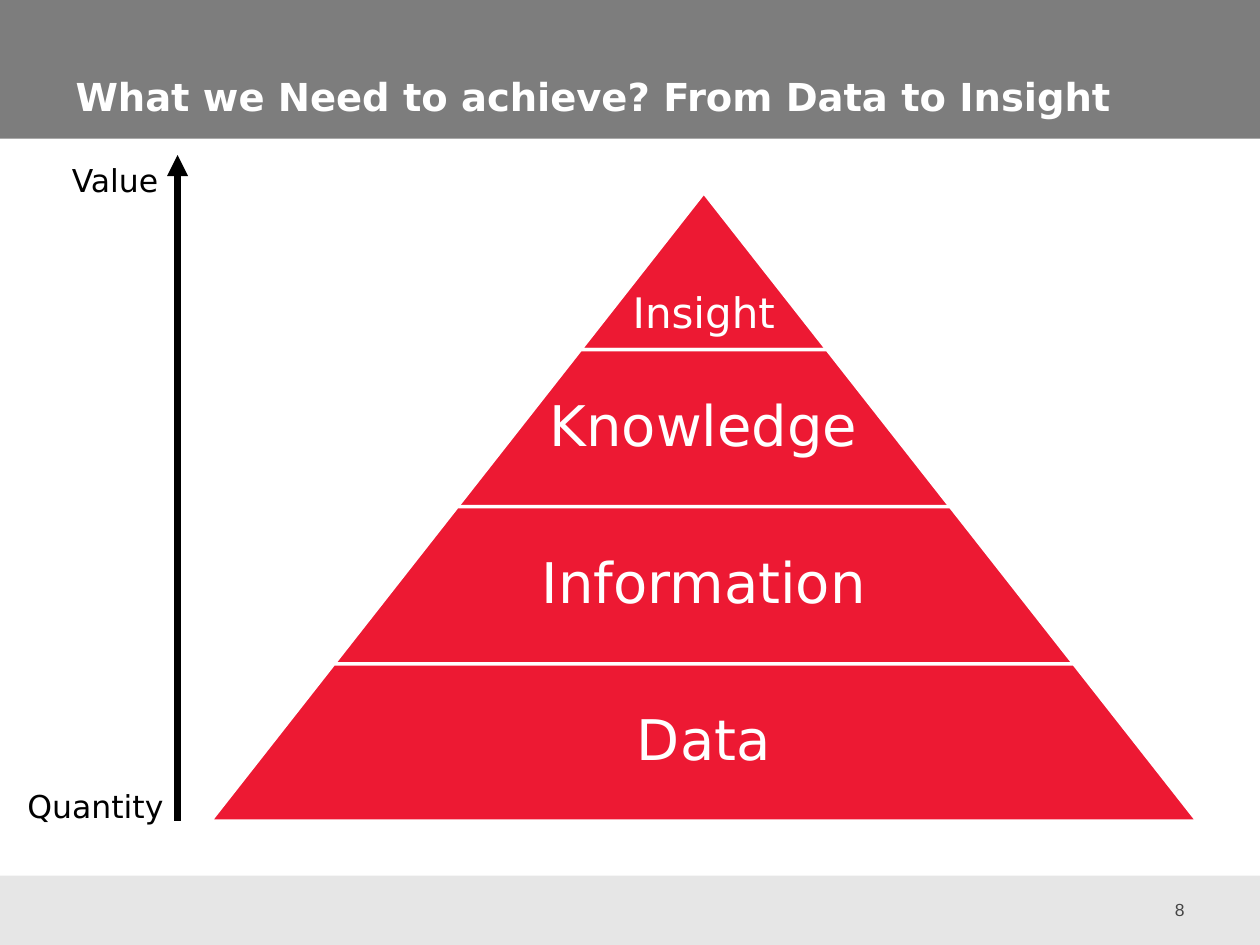
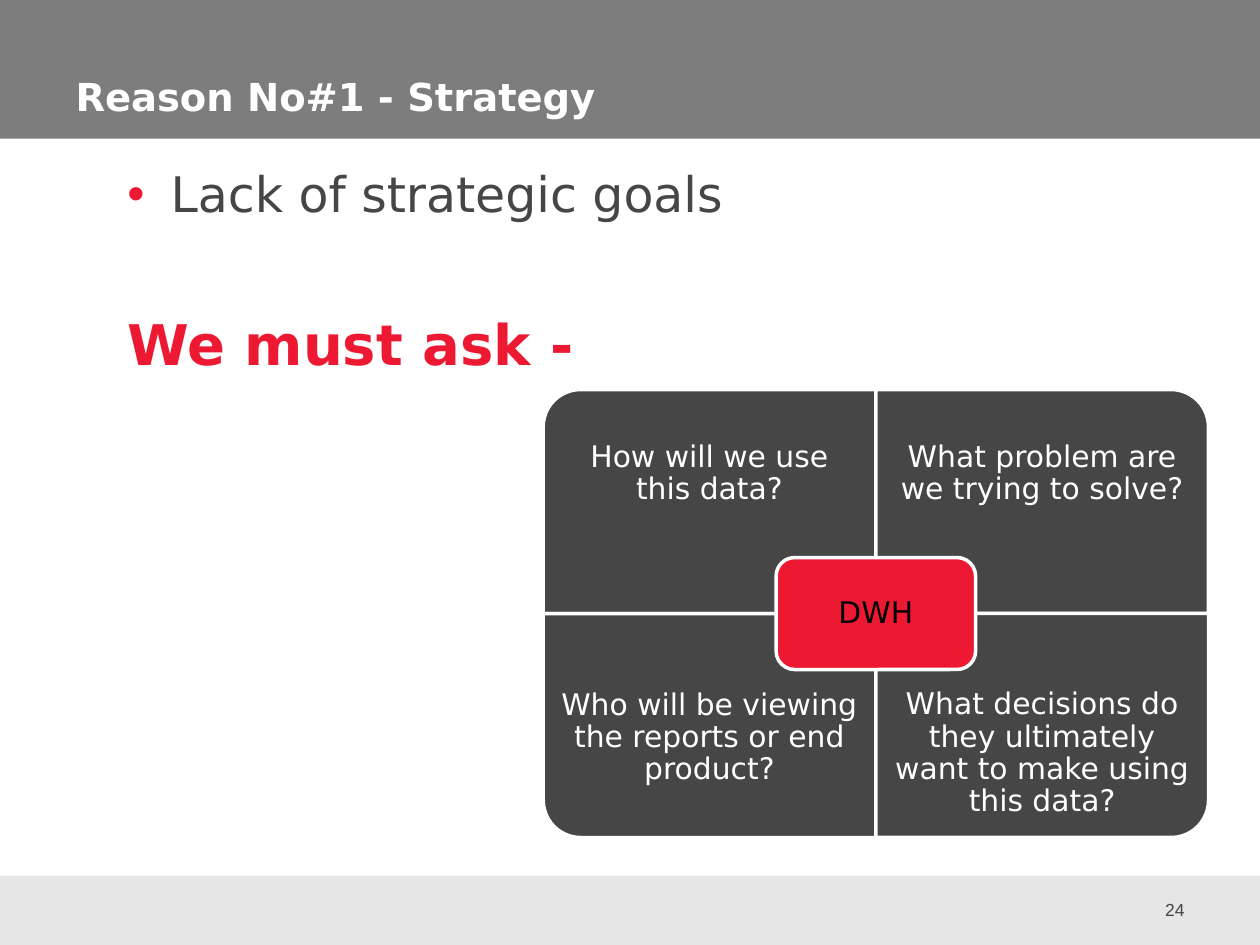
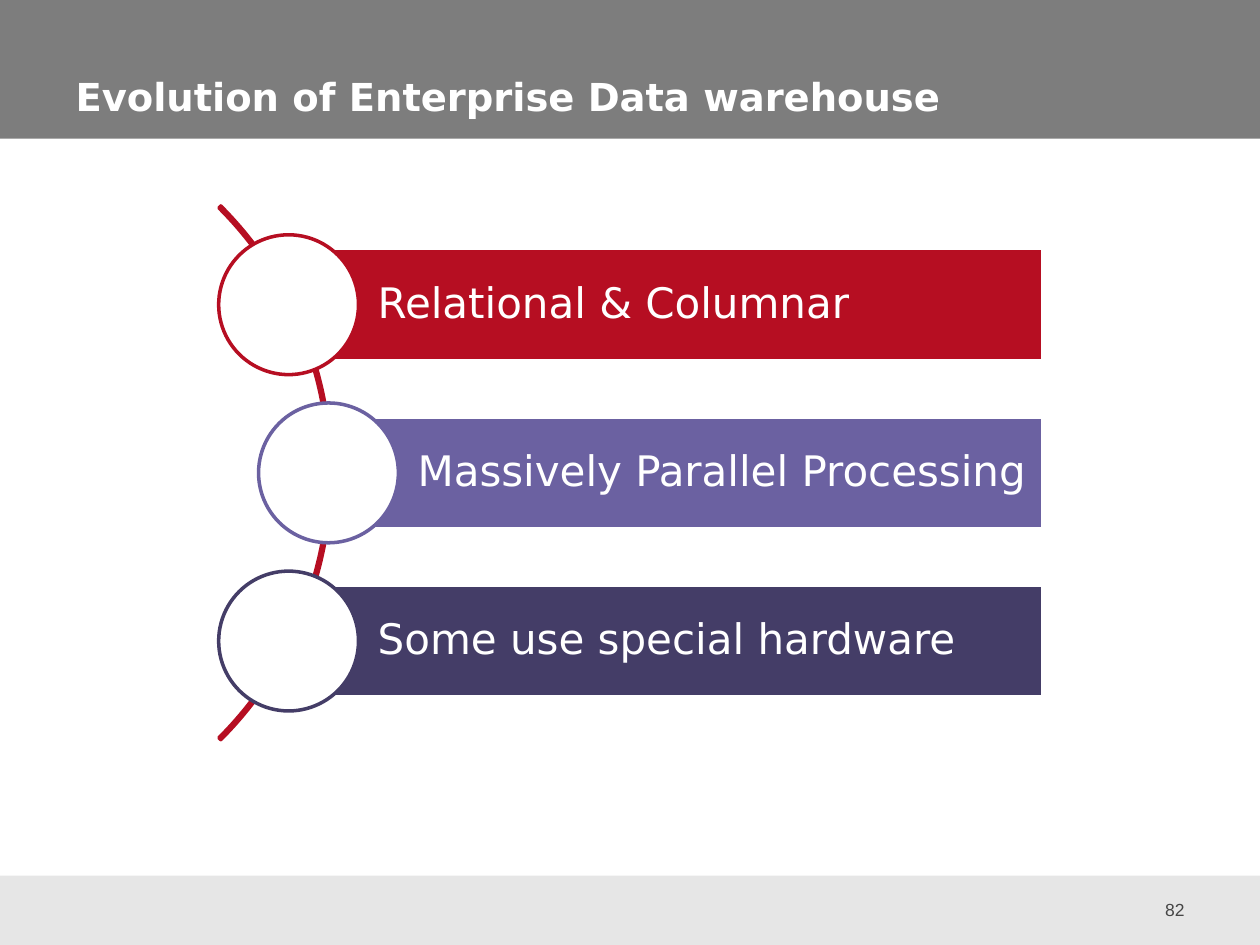
import math

from lxml import etree
from pptx import Presentation
from pptx.dml.color import RGBColor
from pptx.enum import shapes, text
from pptx.oxml import ns
from pptx.util import Pt

# Shared look
WIDTH, HEIGHT = 720, 540
FONT = "DejaVu Sans"
WHITE, BLACK, DARK = "FFFFFF", "000000", "464646"
RED, CRIMSON, VIOLET, INDIGO = "ED1933", "B60E22", "6B61A1", "443D67"
BAND, FOOTER = "7D7D7D", "E6E6E6"
SHAPE = shapes.MSO_SHAPE
LEFT, CENTER, RIGHT = text.PP_ALIGN.LEFT, text.PP_ALIGN.CENTER, text.PP_ALIGN.RIGHT
TOP, MIDDLE, BOTTOM = text.MSO_ANCHOR.TOP, text.MSO_ANCHOR.MIDDLE, text.MSO_ANCHOR.BOTTOM
DEFAULT_INSETS = (7.2, 3.6, 7.2, 3.6)


def color(value):
    return RGBColor.from_string(value)


def points(*lengths):
    return [Pt(length) for length in lengths]


def add_element(parent, tag, **attributes):
    return etree.SubElement(parent, ns.qn(tag), attributes)


def format_para(para, words, size=18, ink=BLACK, bold=False, font=FONT,
                align=LEFT, spacing=1.0, before=0):
    para.text = words
    para.alignment = align
    para.line_spacing = spacing
    para.space_before = Pt(before)
    para.space_after = Pt(0)
    para.font.name = font
    para.font.size = Pt(size)
    para.font.bold = bold
    para.font.color.rgb = color(ink)


def write(shape, words, anchor=TOP, insets=DEFAULT_INSETS, wrap=True, **style):
    frame = shape.text_frame
    frame.auto_size = text.MSO_AUTO_SIZE.NONE
    frame.word_wrap = wrap
    frame.vertical_anchor = anchor
    (frame.margin_left, frame.margin_top,
     frame.margin_right, frame.margin_bottom) = points(*insets)
    format_para(frame.paragraphs[0], words, **style)


def add_text(page, box, words, **style):
    shape = page.shapes.add_textbox(*points(*box))
    write(shape, words, **style)
    return shape


def paint(shape, fill=None, line=None):
    shape.shadow.inherit = False
    if fill:
        shape.fill.solid()
        shape.fill.fore_color.rgb = color(fill)
    else:
        shape.fill.background()
    if line:
        shape.line.color.rgb = color(line)
        shape.line.width = Pt(2)
    else:
        shape.line.fill.background()


def add_block(page, kind, box, fill=None, line=None):
    shape = page.shapes.add_shape(kind, *points(*box))
    paint(shape, fill, line)
    return shape


# Bands, title and page number of every slide
def add_page(deck, title_words, number):
    page = deck.slides.add_slide(deck.slide_layouts[5])
    title = page.shapes.title
    add_block(page, SHAPE.RECTANGLE, (0, 0, WIDTH, 79.2), BAND)
    add_block(page, SHAPE.RECTANGLE, (0, 500.4, WIDTH, 39.6), FOOTER)
    add_text(page, (648, 505.6, 36, 28.8), str(number), anchor=MIDDLE,
             size=10, font="Arial", ink=DARK, align=RIGHT)
    title.element.getparent().append(title.element)
    title.left, title.top, title.width, title.height = points(36, 27.4, 639.4, 44.6)
    write(title, title_words, anchor=BOTTOM, size=22, bold=True, ink=WHITE)
    return page


# Upward arrow with a label at each end
def add_value_axis(page, box):
    left, top, width, height = box
    x = left + width
    axis = page.shapes.add_connector(
        shapes.MSO_CONNECTOR.STRAIGHT, *points(x, top, x, top + height))
    axis.line.color.rgb = color(BLACK)
    axis.line.width = Pt(4)
    add_element(axis.line._get_or_add_ln(), "a:headEnd", type="triangle")
    add_element(axis.element.spPr, "a:effectLst")
    add_text(page, (left, top + height - 23, width, 29), "Quantity", wrap=False)
    add_text(page, (x - 67.5, top, 67, 29), "Value", wrap=False)


# Pyramid cut into tiers of equal height
def add_pyramid(page, box, tiers):
    left, top, width, height = box
    middle = left + width / 2
    step, spread = height / len(tiers), width / 2 / len(tiers)
    for index, (words, size, inset) in enumerate(tiers):
        upper, lower = index * spread, (index + 1) * spread
        y = top + index * step
        outline = page.shapes.build_freeform(*points(middle - lower, y + step))
        outline.add_line_segments(
            [points(middle - upper, y), points(middle + upper, y),
             points(middle + lower, y + step)], close=True)
        tier = outline.convert_to_shape()
        paint(tier, RED, WHITE)
        write(tier, words, anchor=MIDDLE, insets=(3, inset, 3, 3), size=size,
              ink=WHITE, align=CENTER, spacing=0.9)


# Bulleted goal and the call below it
def add_goals(page, box):
    goals = add_text(page, box, "")
    goal = goals.text_frame.paragraphs[0]
    call = goals.text_frame.add_paragraph()
    for para, margin, indent in ((goal, 49.5, -24.75), (call, 24.75, 0)):
        props = para._p.get_or_add_pPr()
        props.set("marL", str(Pt(margin)))
        props.set("indent", str(Pt(indent)))
    bullet = goal._p.get_or_add_pPr()
    add_element(add_element(bullet, "a:buClr"), "a:srgbClr", val=RED)
    add_element(bullet, "a:buFont", typeface="Arial")
    add_element(bullet, "a:buChar", char="•")
    format_para(goal, "Lack of strategic goals", size=28, ink=DARK)
    format_para(call, "We must ask -", size=32, ink=RED, bold=True, before=49.5)


# Four questions around a centre
def add_question_grid(page, box, questions, center_words):
    left, top, width, height = box
    cell_width, cell_height = width / 2, height / 2
    label_height = cell_height * 0.75
    style = dict(anchor=MIDDLE, size=17, align=CENTER, spacing=0.9)
    turns = (270, 0, 180, 90)
    for index, ((words, bottom_inset), turn) in enumerate(zip(questions, turns)):
        row, column = divmod(index, 2)
        x, y = left + column * cell_width, top + row * cell_height
        sides = (cell_width, cell_height)
        if turn in (90, 270):
            sides = sides[::-1]
        corner = (x + (cell_width - sides[0]) / 2, y + (cell_height - sides[1]) / 2)
        cell = add_block(page, SHAPE.ROUND_1_RECTANGLE, corner + sides, DARK, WHITE)
        cell.rotation = turn
        label_top = y + row * (cell_height - label_height)
        add_text(page, (x, label_top, cell_width, label_height), words, ink=WHITE,
                 insets=(9.4, 9.4, 9.4, bottom_inset), **style)

    hub_width, hub_height = cell_width * 0.6, cell_height / 2
    hub = add_block(page, SHAPE.ROUNDED_RECTANGLE,
                    (left + cell_width - hub_width / 2,
                     top + cell_height - hub_height / 2, hub_width, hub_height),
                    RED, WHITE)
    write(hub, center_words, ink=BLACK, **style)


# Bars whose circles sit on an arc
def add_arc_list(page, box, items):
    left, top, width, height = box
    arc_size, radius = 431.3, 214
    center_x, center_y = left - 150.9, top + height / 2
    pitch, bar_height, circle_size = 96.1, 64.1, 79.9
    arc = add_block(page, SHAPE.BLOCK_ARC,
                    (center_x - arc_size / 2, center_y - arc_size / 2,
                     arc_size, arc_size), line=CRIMSON)
    for index, value in enumerate((189, 27, 0.0036)):
        arc.adjustments[index] = value
    for index, (words, fill) in enumerate(items):
        offset = (index - (len(items) - 1) / 2) * pitch
        x = center_x + math.sqrt(radius ** 2 - offset ** 2)
        y = center_y + offset
        bar = add_block(page, SHAPE.RECTANGLE,
                        (x, y - bar_height / 2, left + width - x, bar_height),
                        fill, WHITE)
        write(bar, words, anchor=MIDDLE, insets=(50.9, 4.8, 4.8, 4.8), size=24,
              ink=WHITE, spacing=0.9)
        add_block(page, SHAPE.OVAL,
                  (x - circle_size / 2, y - circle_size / 2,
                   circle_size, circle_size), WHITE, fill)


def main():
    deck = Presentation()
    deck.slide_width, deck.slide_height = points(WIDTH, HEIGHT)

    page = add_page(deck, "What we Need to achieve? From Data to Insight", 8)
    add_value_axis(page, (8.6, 88.6, 92.9, 380.4))
    add_pyramid(page, (120.2, 110, 564, 359.2),
                [("Insight", 24, 53), ("Knowledge", 32, 3),
                 ("Information", 32, 3), ("Data", 32, 3)])

    page = add_page(deck, "Reason No#1 - Strategy", 24)
    add_question_grid(page, (310.4, 222.6, 380.2, 256),
                      [("How will we use this data?", 9.4),
                       ("What problem are we trying to solve?", 9.4),
                       ("Who will be viewing the reports or end product?", 27.7),
                       ("What decisions do they ultimately want to make using this data?",
                        9.4)], "DWH")
    add_goals(page, (41, 90, 612, 399.6))

    page = add_page(deck, "Evolution of Enterprise Data warehouse", 82)
    add_arc_list(page, (124.6, 118, 471.2, 304.4),
                 [("Relational & Columnar", CRIMSON),
                  ("Massively Parallel Processing", VIOLET),
                  ("Some use special hardware", INDIGO)])

    deck.save("out.pptx")


if __name__ == "__main__":
    main()
